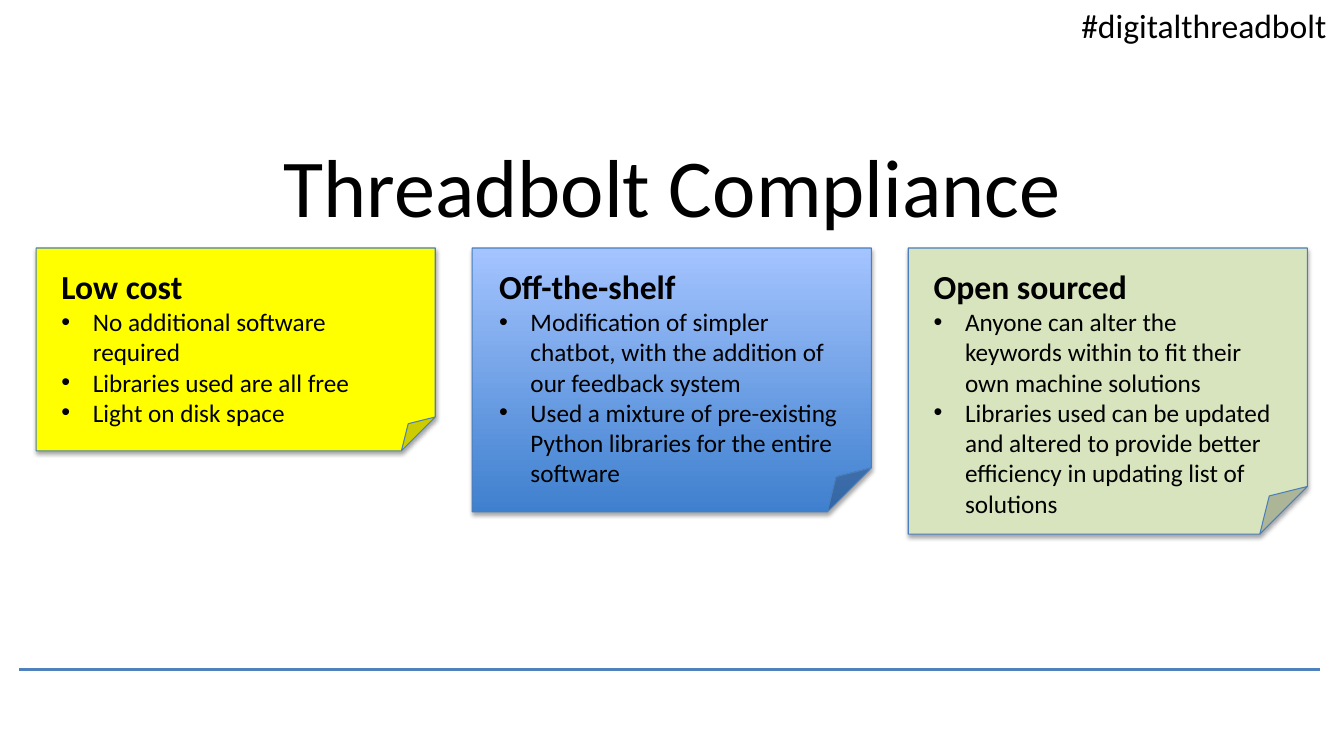
"""Build the Threadbolt Compliance slide with three folded notes."""
import enum

import lxml.etree
import pptx
import pptx.dml.color
import pptx.enum.shapes
import pptx.enum.text
import pptx.oxml
import pptx.util

Cm = pptx.util.Cm
Pt = pptx.util.Pt
RGB = pptx.dml.color.RGBColor.from_string
Align = pptx.enum.text.PP_ALIGN
DRAW = "http://schemas.openxmlformats.org/drawingml/2006/main"


class Theme(enum.Enum):
    FONT = "Calibri"
    INK = "000000"
    RULE = "4F81BD"
    EDGE = "4B7EBC"
    YELLOW = "FFFF00"
    GREEN = "D7E4BD"
    BLUES = ("3F80CE", "A4C4FF")
    TITLE = 58.7
    HEAD = 24
    BODY = 18


def style(para, size, bold=False):
    for run in para.runs:
        run.font.name = Theme.FONT.value
        run.font.size = Pt(size.value)
        run.font.bold = bold
        run.font.color.rgb = RGB(Theme.INK.value)


def add_text(left, top, width, height, lines):
    box = slide.shapes.add_textbox(Cm(left), Cm(top), Cm(width), Cm(height))
    frame = box.text_frame
    frame.word_wrap = True
    frame.text = "\n".join(lines)
    return frame


deck = pptx.Presentation()
deck.slide_width = Cm(33.87)
deck.slide_height = Cm(19.05)
slide = deck.slides.add_slide(deck.slide_layouts[6])

rule = slide.shapes.add_connector(
    pptx.enum.shapes.MSO_CONNECTOR.STRAIGHT, Cm(0.48), Cm(16.87), Cm(33.27), Cm(16.87))
rule.line.color.rgb = RGB(Theme.RULE.value)
rule.line.width = Pt(2)
lxml.etree.SubElement(rule._element.spPr, f"{{{DRAW}}}effectLst")

tag = add_text(27, 0, 6.68, 1.27, ["#digitalthreadbolt"])
tag.word_wrap = False
style(tag.paragraphs[0], Theme.HEAD)

title = add_text(1.7, 3.07, 30.48, 3.18, ["Threadbolt Compliance"])
title.vertical_anchor = pptx.enum.text.MSO_ANCHOR.MIDDLE
title.paragraphs[0].alignment = Align.CENTER
style(title.paragraphs[0], Theme.TITLE)

notes = [
    (Theme.YELLOW, 5.11, 0.39, 4.37, [
        "Low cost",
        "No additional software required",
        "Libraries used are all free",
        "Light on disk space"]),
    (Theme.BLUES, 6.65, 0.43, 5.89, [
        "Off-the-shelf",
        "Modification of simpler chatbot, with the addition of our feedback system",
        "Used a mixture of pre-existing Python libraries for the entire software"]),
    (Theme.GREEN, 7.21, 0.39, 8.2, [
        "Open sourced",
        "Anyone can alter the keywords within to fit their own machine solutions",
        "Libraries used can be updated and altered to provide better efficiency"
        " in updating list of solutions"]),
]
first, pitch, top, width = 0.91, 10.99, 6.25, 10.06
shade = (
    f'<a:effectLst xmlns:a="{DRAW}">'
    '<a:outerShdw blurRad="40000" dist="23000" dir="5400000" rotWithShape="0">'
    f'<a:srgbClr val="{Theme.INK.value}"><a:alpha val="35000"/></a:srgbClr>'
    '</a:outerShdw></a:effectLst>')

for index, (paint, height, inset, depth, lines) in enumerate(notes):
    left = first + index * pitch
    note = slide.shapes.add_shape(
        pptx.enum.shapes.MSO_SHAPE.FOLDED_CORNER, Cm(left), Cm(top), Cm(width), Cm(height))
    if paint is Theme.BLUES:
        note.fill.gradient()
        note.fill.gradient_angle = 90
        for stop, tone in zip(note.fill.gradient_stops, paint.value):
            stop.color.rgb = RGB(tone)
    else:
        note.fill.solid()
        note.fill.fore_color.rgb = RGB(paint.value)
    note.line.color.rgb = RGB(Theme.EDGE.value)
    note.line.width = Pt(0.75)
    note._element.spPr.append(pptx.oxml.parse_xml(shade))

    frame = add_text(left + inset, 6.58, 9.19, depth, lines)
    head, *points = frame.paragraphs
    style(head, Theme.HEAD, True)
    for point in points:
        style(point, Theme.BODY)
        props = point._p.get_or_add_pPr()
        props.set("marL", str(Cm(0.79)))
        props.set("indent", str(Cm(-0.79)))
        lxml.etree.SubElement(props, f"{{{DRAW}}}buFont", typeface="Arial")
        lxml.etree.SubElement(props, f"{{{DRAW}}}buChar", char="•")

deck.save("out.pptx")
